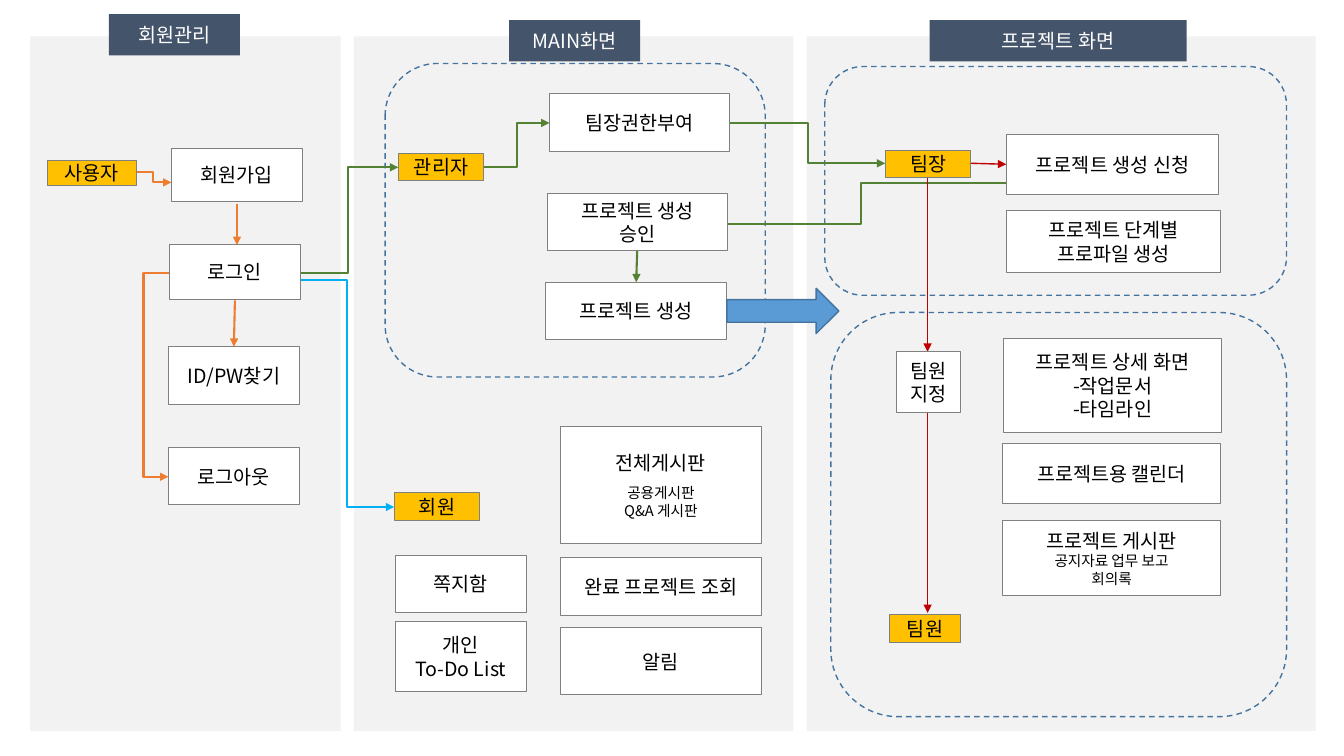
from dataclasses import dataclass

from lxml.etree import SubElement
from pptx import Presentation
from pptx.dml.color import RGBColor
from pptx.enum.dml import MSO_LINE
from pptx.enum.shapes import MSO_CONNECTOR, MSO_SHAPE
from pptx.enum.text import MSO_ANCHOR, PP_ALIGN
from pptx.oxml.ns import qn
from pptx.util import Inches, Pt


@dataclass(frozen=True)
class Theme:
    font: str = "Noto Sans CJK KR"
    body_size: float = 14
    detail_size: float = 10.5
    black: str = "000000"
    white: str = "FFFFFF"
    panel: str = "F2F2F2"
    header: str = "44546A"
    role: str = "FFC000"
    border: str = "808080"
    outline: str = "43739E"
    block_arrow: str = "5B9BD5"
    orange: str = "ED7D31"
    green: str = "548235"
    red: str = "C00000"
    blue: str = "00B0F0"


def write_line(para, text, *, font, size, color, space_before=0):
    """Write one centred line of text into a paragraph."""
    para.alignment = PP_ALIGN.CENTER
    if space_before:
        para.space_before = Pt(space_before)
    span = para.add_run()
    span.text = text
    span.font.name = font
    span.font.size = Pt(size)
    span.font.color.rgb = RGBColor.from_string(color)
    SubElement(span.font._element, qn("a:ea"), typeface=font)


class FlowSlide:
    def __init__(self, page, theme):
        self.page = page
        self.theme = theme

    def shape(self, place, kind=MSO_SHAPE.RECTANGLE, fill=None, line=None, width=0.75):
        box = self.page.shapes.add_shape(kind, *(Inches(length) for length in place))
        box.shadow.inherit = False
        if fill:
            box.fill.solid()
            box.fill.fore_color.rgb = RGBColor.from_string(fill)
        else:
            box.fill.background()
        if line:
            box.line.color.rgb = RGBColor.from_string(line)
            box.line.width = Pt(width)
        else:
            box.line.fill.background()
        return box

    def label(self, place, lines, details=(), gap=0, fill=None, color=None, bordered=True):
        theme = self.theme
        box = self.shape(place, fill=fill or theme.white, line=theme.border if bordered else None)
        frame = box.text_frame
        frame.word_wrap = True
        frame.vertical_anchor = MSO_ANCHOR.MIDDLE
        sized = [(text, theme.body_size) for text in lines]
        sized += [(text, theme.detail_size) for text in details]
        for index, (text, size) in enumerate(sized):
            para = frame.add_paragraph() if index else frame.paragraphs[0]
            write_line(para, text, font=theme.font, size=size, color=color or theme.black,
                       space_before=gap if index == len(lines) else 0)

    def header(self, place, text):
        self.label(place, [text], fill=self.theme.header, color=self.theme.white, bordered=False)

    def role(self, place, text):
        self.label(place, [text], fill=self.theme.role)

    def frame(self, place):
        box = self.shape(place, MSO_SHAPE.ROUNDED_RECTANGLE, line=self.theme.outline, width=1)
        box.line.dash_style = MSO_LINE.DASH

    def arrow(self, start, end, color, width=1.5, bend=None):
        """Draw an arrow; bend is the x position of an elbow's upright part."""
        kind = MSO_CONNECTOR.STRAIGHT if bend is None else MSO_CONNECTOR.ELBOW
        link = self.page.shapes.add_connector(
            kind, *(Inches(length) for length in (*start, *end)))
        link.line.color.rgb = RGBColor.from_string(color)
        link.line.width = Pt(width)
        properties = link._element.spPr
        if bend is not None:
            share = round((bend - start[0]) / (end[0] - start[0]) * 100000)
            guides = properties.find(qn("a:prstGeom")).find(qn("a:avLst"))
            SubElement(guides, qn("a:gd"), name="adj1", fmla=f"val {share}")
        SubElement(properties.find(qn("a:ln")), qn("a:tailEnd"), type="triangle")
        SubElement(properties, qn("a:effectLst"))


def main():
    theme = Theme()
    deck = Presentation()
    deck.slide_width, deck.slide_height = Inches(13.33), Inches(7.5)
    flow = FlowSlide(deck.slides.add_slide(deck.slide_layouts[6]), theme)

    # Column panels and dashed frames
    for left, width in ((0.3, 3.08), (3.51, 4.36), (8, 5.05)):
        flow.shape((left, 0.36, width, 6.89), fill=theme.panel)
    for place in ((3.82, 0.63, 3.77, 3.11), (8.18, 0.66, 4.58, 2.27), (8.24, 3.1, 4.52, 4.01)):
        flow.frame(place)

    # Column headers
    flow.header((1.08, 0.14, 1.3, 0.41), "회원관리")
    flow.header((5.05, 0.2, 1.3, 0.41), "MAIN화면")
    flow.header((9.22, 0.2, 2.55, 0.41), "프로젝트 화면")

    # Elbow arrows: start, end, colour, x of the bend
    for start, end, color, bend in (
        ((1.35, 1.71), (1.7, 1.81), theme.orange, 1.52),
        ((1.68, 2.71), (1.67, 4.73), theme.orange, 1.42),
        ((2.98, 2.71), (3.95, 1.66), theme.green, 3.45),
        ((2.96, 2.78), (3.91, 5.03), theme.blue, 3.44),
        ((4.8, 1.66), (5.45, 1.22), theme.green, 5.13),
        ((7.23, 1.22), (8.78, 1.62), theme.green, 8.01),
        ((9.99, 1.82), (7.09, 2.22), theme.green, 8.54),
    ):
        flow.arrow(start, end, color, bend=bend)

    # Straight arrows: start, end, colour, width
    for start, end, color, width in (
        ((2.35, 2.02), (2.35, 2.43), theme.orange, 1.5),
        ((2.33, 2.98), (2.32, 3.44), theme.orange, 1.5),
        ((6.32, 2.49), (6.31, 2.8), theme.green, 1.5),
        ((9.63, 1.62), (9.98, 1.63), theme.red, 1),
        ((9.2, 1.76), (9.2, 3.49), theme.red, 1),
        ((9.2, 4.09), (9.2, 6.08), theme.red, 1),
    ):
        flow.arrow(start, end, color, width)

    # Roles
    for place, text in (
        ((0.47, 1.59, 0.88, 0.25), "사용자"),
        ((3.95, 1.52, 0.85, 0.27), "관리자"),
        ((3.91, 4.89, 0.85, 0.27), "회원"),
        ((8.78, 1.49, 0.85, 0.27), "팀장"),
        ((8.82, 6.1, 0.71, 0.27), "팀원"),
    ):
        flow.role(place, text)

    # Screens and actions
    for place, *lines in (
        ((1.7, 1.47, 1.3, 0.53), "회원가입"),
        ((1.68, 2.43, 1.3, 0.54), "로그인"),
        ((1.67, 3.44, 1.3, 0.57), "ID/PW찾기"),
        ((1.67, 4.44, 1.3, 0.57), "로그아웃"),
        ((5.45, 0.93, 1.79, 0.57), "팀장권한부여"),
        ((5.43, 1.92, 1.79, 0.57), "프로젝트 생성", "승인"),
        ((5.41, 2.8, 1.8, 0.57), "프로젝트 생성"),
        ((3.92, 5.51, 1.3, 0.57), "쪽지함"),
        ((3.92, 6.17, 1.3, 0.69), "개인", "To-Do List"),
        ((5.56, 5.53, 1.99, 0.58), "완료 프로젝트 조회"),
        ((5.56, 6.23, 1.99, 0.66), "알림"),
        ((9.98, 1.33, 2.11, 0.6), "프로젝트 생성 신청"),
        ((9.98, 2.09, 2.13, 0.61), "프로젝트 단계별", "프로파일 생성"),
        ((8.89, 3.49, 0.64, 0.6), "팀원", "지정"),
        ((9.95, 3.36, 2.17, 0.93), "프로젝트 상세 화면", "-작업문서", "-타임라인"),
        ((9.94, 4.4, 2.17, 0.6), "프로젝트용 캘린더"),
    ):
        flow.label(place, lines)

    # Boards with detail lines
    flow.label((5.56, 4.23, 1.99, 1.16), ["전체게시판"], ["공용게시판", "Q&A 게시판"], gap=7)
    flow.label((9.94, 5.16, 2.17, 0.75), ["프로젝트 게시판"], ["공지자료 업무 보고", "회의록"])

    # Block arrow to the project screen
    flow.shape((7.21, 2.86, 1.11, 0.45), MSO_SHAPE.RIGHT_ARROW,
               fill=theme.block_arrow, line=theme.outline, width=1)

    deck.save("out.pptx")


if __name__ == "__main__":
    main()
